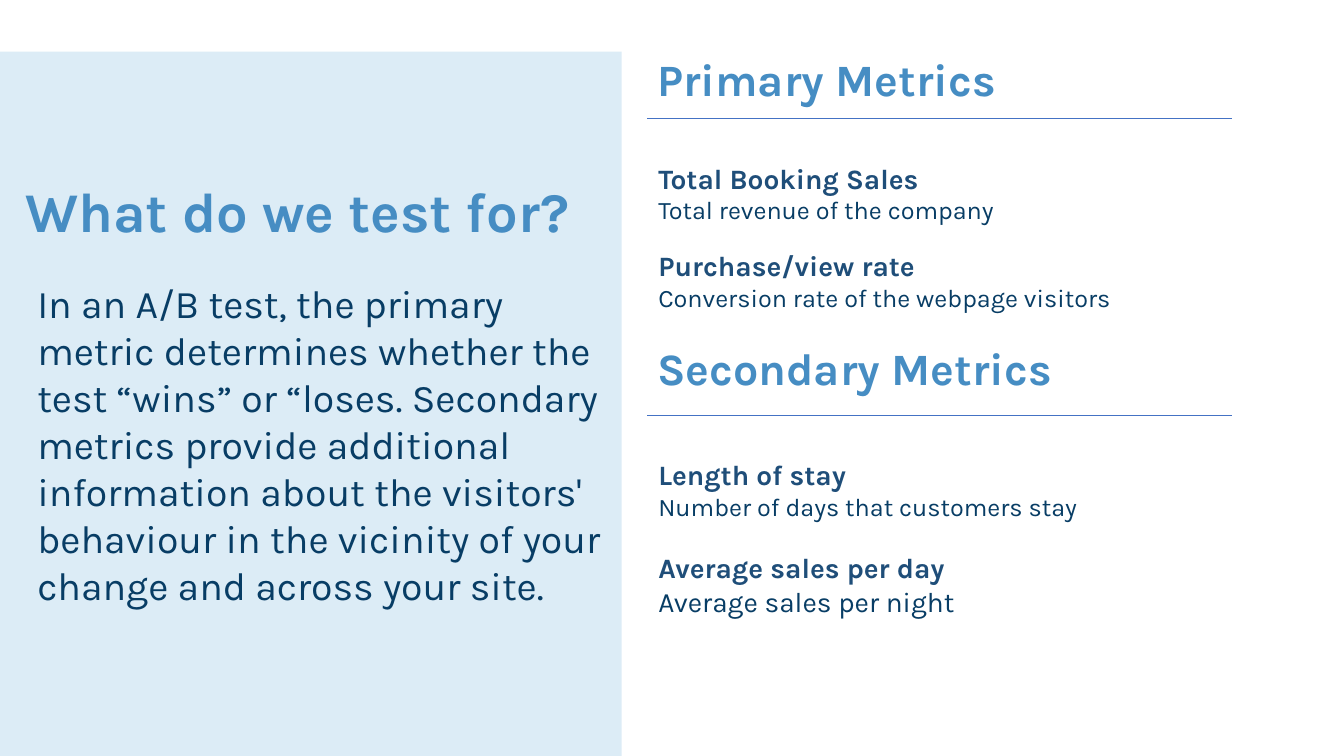
from dataclasses import dataclass

from lxml import etree
from pptx import Presentation
from pptx.dml.color import RGBColor
from pptx.enum.shapes import MSO_CONNECTOR, MSO_SHAPE
from pptx.oxml.ns import qn
from pptx.slide import Slide
from pptx.util import Cm, Pt

STRAIGHT = MSO_CONNECTOR.STRAIGHT
RECT = MSO_SHAPE.RECTANGLE

FONT = "Karla"
PALE, BLUE, NAVY, DARK, RULE = "DCECF6", "468DC3", "083D65", "1F4E79", "4472C4"
LEFT, RIGHT = 16.31, 31.06
INDENT = 16.59


@dataclass(frozen=True)
class Line:
    text: str
    size: float
    color: str
    bold: bool = False


@dataclass(frozen=True)
class Metric:
    top: float
    height: float
    name: str
    note: str
    size: float = 18


@dataclass(frozen=True)
class Group:
    title: str
    top: float
    rule: float
    metrics: tuple[Metric, ...]


GROUPS = (
    Group("Primary Metrics", 1.17, 2.97, (
        Metric(4.06, 1.63, "Total Booking Sales", "Total revenue of the company"),
        Metric(6.27, 3, "Purchase/view rate", "Conversion rate of the webpage visitors"),
    )),
    Group("Secondary Metrics", 8.46, 10.46, (
        Metric(11.53, 3, "Length of stay", "Number of days that customers stay"),
        Metric(13.87, 1.7, "Average sales per day", "Average sales per night", 20),
    )),
)

BODY = (
    "In an A/B test, the primary metric determines whether the test “wins” or “loses. "
    "Secondary metrics provide additional information about the visitors' behaviour "
    "in the vicinity of your change and across your site."
)


def paint(value: str) -> RGBColor:
    return RGBColor.from_string(value)


def add_text(slide: Slide, left: float, top: float, width: float, height: float,
             *lines: Line, inset: bool = False) -> None:
    """Write one paragraph per line; inset keeps the default margins."""
    box = slide.shapes.add_textbox(Cm(left), Cm(top), Cm(width), Cm(height))
    frame = box.text_frame
    frame.word_wrap = True
    if not inset:
        frame.margin_left = frame.margin_right = 0
        frame.margin_top = frame.margin_bottom = 0
    frame.text = "\n".join(line.text for line in lines)
    for para, line in zip(frame.paragraphs, lines):
        font = para.runs[0].font
        font.name = FONT
        font.size = Pt(line.size)
        font.bold = line.bold
        font.color.rgb = paint(line.color)


def add_panel(slide: Slide) -> None:
    panel = slide.shapes.add_shape(RECT, 0, Cm(1.3), Cm(15.67), Cm(19.02))
    panel.shadow.inherit = False
    panel.fill.solid()
    panel.fill.fore_color.rgb = paint(PALE)
    panel.line.fill.background()


def add_rule(slide: Slide, top: float) -> None:
    rule = slide.shapes.add_connector(STRAIGHT, Cm(LEFT), Cm(top), Cm(RIGHT), Cm(top))
    rule.line.color.rgb = paint(RULE)
    rule.line.width = Pt(0.5)
    etree.SubElement(rule._element.spPr, qn("a:effectLst"))


def add_group(slide: Slide, group: Group) -> None:
    add_text(slide, LEFT, group.top, 17.04, 1.63,
             Line(group.title, 32, BLUE, True), inset=True)
    add_rule(slide, group.rule)
    for metric in group.metrics:
        add_text(slide, INDENT, metric.top, 12.24, metric.height,
                 Line(metric.name, 20, DARK, True),
                 Line(metric.note, metric.size, NAVY))


def main() -> None:
    deck = Presentation()
    deck.slide_width, deck.slide_height = Cm(33.87), Cm(19.05)
    slide = deck.slides.add_slide(deck.slide_layouts[6])
    add_panel(slide)
    add_text(slide, 0.94, 7.04, 14.4, 8.38, Line(BODY, 28, NAVY))
    add_text(slide, 0.64, 4.45, 15.67, 1.7, Line("What do we test for?", 40, BLUE, True))
    for group in GROUPS:
        add_group(slide, group)
    deck.save("out.pptx")


if __name__ == "__main__":
    main()
